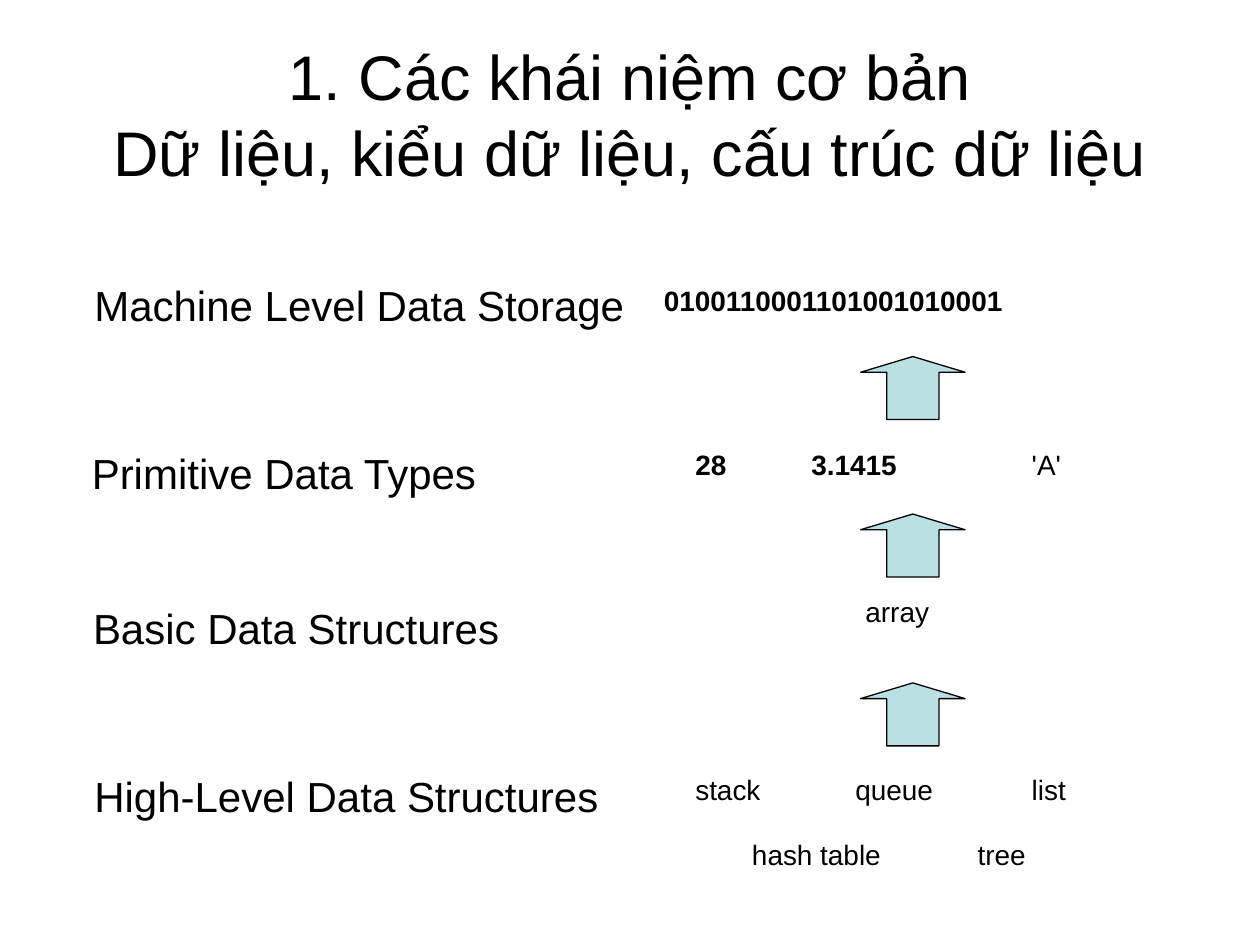
from pptx import Presentation
from pptx import util as u
from pptx.dml.color import RGBColor
from pptx.enum import shapes, text

FONT = "Arial"
BLACK = "000000"
PALE_TEAL = "BBE0E3"

TITLE = "1. Các khái niệm cơ bản\vDữ liệu, kiểu dữ liệu, cấu trúc dữ liệu"

# Level name, left, top, width
LEVELS = [
    ("Machine Level Data Storage", 0.65, 2.17, 4.5),
    ("Primitive Data Types", 0.63, 3.5, 3.35),
    ("Basic Data Structures", 0.64, 4.73, 3.5),
    ("High-Level Data Structures", 0.65, 6.07, 4.3),
]

# Row top and its examples: wording, left, width, bold
EXAMPLE_ROWS = [
    (2.2, [("0100110001101001010001", 5.17, 3.0, True)]),
    (3.5, [("28", 5.42, 0.5, True),
           ("3.1415", 6.34, 0.95, True),
           ("'A'", 8.09, 0.5, False)]),
    (4.67, [("array", 6.77, 0.78, False)]),
    (6.08, [("stack", 5.42, 0.78, False),
            ("queue", 6.69, 0.88, False),
            ("list", 8.09, 0.54, False)]),
    (6.6, [("hash table", 5.87, 1.3, False),
           ("tree", 7.66, 0.65, False)]),
]

ARROW_TOPS = (2.83, 4.08, 5.42)


def color(hex_string):
    return RGBColor.from_string(hex_string)


def add_text(slide, wording, left, top, width, height, *, size, bold=False,
             align=text.PP_ALIGN.LEFT, anchor=text.MSO_ANCHOR.TOP):
    box = slide.shapes.add_textbox(u.Inches(left), u.Inches(top),
                                   u.Inches(width), u.Inches(height))
    frame = box.text_frame
    frame.word_wrap = True
    frame.vertical_anchor = anchor
    paragraph = frame.paragraphs[0]
    paragraph.text = wording
    paragraph.alignment = align
    for run in paragraph.runs:
        run.font.name = FONT
        run.font.size = u.Pt(size)
        run.font.bold = bold
        run.font.color.rgb = color(BLACK)


def add_up_arrow(slide, top):
    shape = slide.shapes.add_shape(shapes.MSO_SHAPE.UP_ARROW, u.Inches(6.83),
                                   u.Inches(top), u.Inches(0.83), u.Inches(0.5))
    shape.shadow.inherit = False
    shape.adjustments[0] = 0.5
    shape.adjustments[1] = 0.25
    shape.fill.solid()
    shape.fill.fore_color.rgb = color(PALE_TEAL)
    shape.line.color.rgb = color(BLACK)
    shape.line.width = u.Pt(0.75)


def main():
    presentation = Presentation()
    presentation.slide_width = u.Inches(10)
    presentation.slide_height = u.Inches(7.5)
    slide = presentation.slides.add_slide(presentation.slide_layouts[6])

    # Title
    add_text(slide, TITLE, 0.5, 0.3, 9, 1.25, size=36,
             align=text.PP_ALIGN.CENTER, anchor=text.MSO_ANCHOR.BOTTOM)

    # Names of the abstraction levels
    for name, left, top, width in LEVELS:
        add_text(slide, name, left, top, width, 0.5, size=24)

    # Examples of each level
    for top, examples in EXAMPLE_ROWS:
        for wording, left, width, bold in examples:
            add_text(slide, wording, left, top, width, 0.37, size=16, bold=bold)

    # Arrows pointing up from each level to the one above
    for top in ARROW_TOPS:
        add_up_arrow(slide, top)

    presentation.save("out.pptx")


if __name__ == "__main__":
    main()
